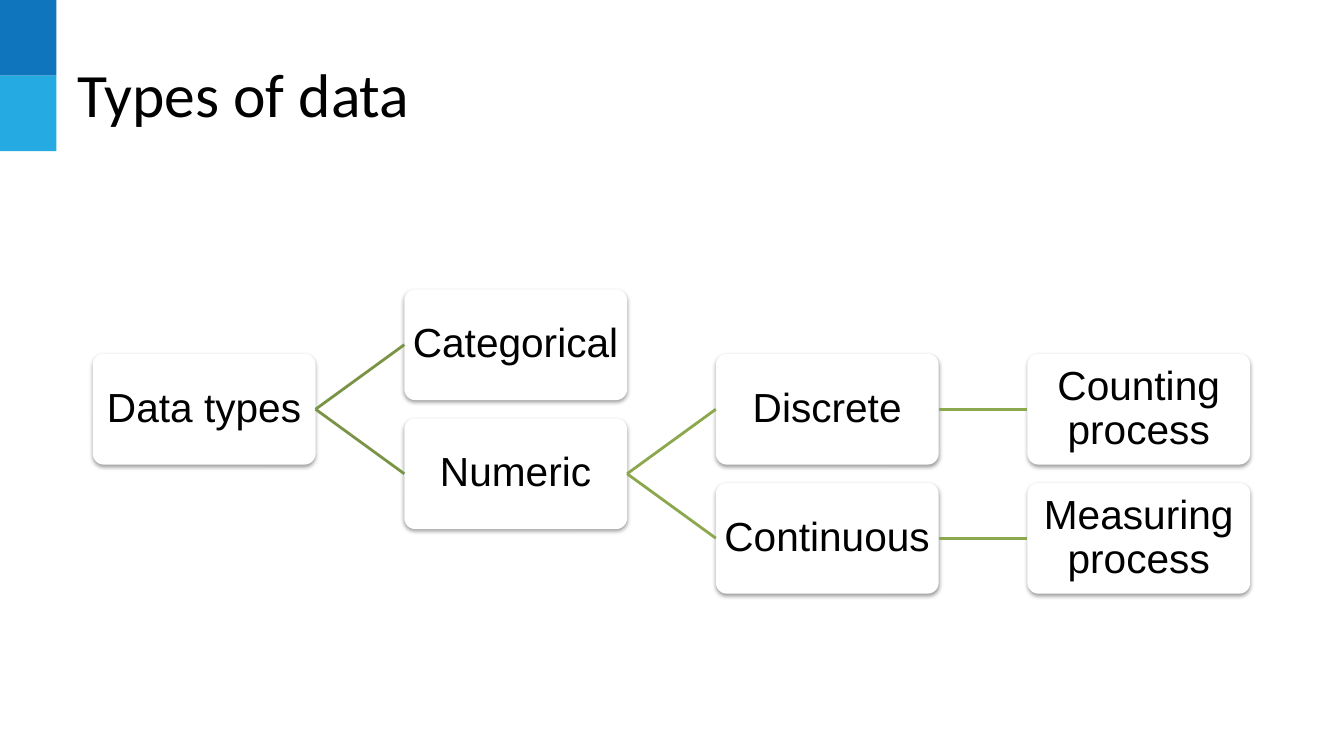
from lxml import etree
from pptx import Presentation
from pptx.dml.color import RGBColor
from pptx.enum.shapes import MSO_CONNECTOR as Link, MSO_SHAPE as Shape
from pptx.enum.text import MSO_ANCHOR as Anchor, PP_ALIGN as Align
from pptx.oxml import parse_xml
from pptx.oxml.ns import nsdecls, qn
from pptx.util import Inches, Pt

BLACK = RGBColor(0x00, 0x00, 0x00)
WHITE = RGBColor(0xFF, 0xFF, 0xFF)
NAVY = RGBColor(0x0F, 0x75, 0xBD)
SKY = RGBColor(0x25, 0xAA, 0xE2)
MOSS = RGBColor(0x7A, 0x94, 0x46)
LEAF = RGBColor(0x8C, 0xA8, 0x4E)

WIDE, HIGH = 13.33, 7.5
LEFT, TOP = 0.92, 2.87       # corner of the tree
COL, ROW = 3.09, 0.64        # step of one column, of half a box row
BOX_W, BOX_H = 2.21, 1.1
LEFT_SITE, RIGHT_SITE = 1, 3

SHADOW = (
    f'<a:effectLst {nsdecls("a")}><a:outerShdw blurRad="40000" dist="20000" '
    'dir="5400000" rotWithShape="0"><a:srgbClr val="000000">'
    '<a:alpha val="38000"/></a:srgbClr></a:outerShdw></a:effectLst>'
)

# label: (column, row)
NODES = {
    "Data types": (0, 1),
    "Categorical": (1, 0),
    "Numeric": (1, 2),
    "Discrete": (2, 1),
    "Continuous": (2, 3),
    "Counting process": (3, 1),
    "Measuring process": (3, 3),
}
EDGES = [
    ("Data types", "Categorical", MOSS),
    ("Data types", "Numeric", MOSS),
    ("Numeric", "Discrete", LEAF),
    ("Numeric", "Continuous", LEAF),
    ("Discrete", "Counting process", LEAF),
    ("Continuous", "Measuring process", LEAF),
]


def write(frame, text, size=29, font="Arial", color=BLACK,
          align=Align.CENTER, space=0.9, inset=(0.05, 0.05)):
    """Fill a text frame with one formatted, vertically centred paragraph."""
    frame.word_wrap = True
    frame.vertical_anchor = Anchor.MIDDLE
    frame.margin_left = frame.margin_right = Inches(inset[0])
    frame.margin_top = frame.margin_bottom = Inches(inset[1])
    para = frame.paragraphs[0]
    para.alignment = align
    para.line_spacing = space
    run = para.add_run()
    run.text = text
    run.font.size = Pt(size)
    run.font.name = font
    run.font.color.rgb = color


class Board:
    """One slide with its grid and style."""

    def __init__(self, deck):
        self.slide = deck.slides.add_slide(deck.slide_layouts[6])
        self.shapes = self.slide.shapes
        self.slide.background.fill.solid()
        self.slide.background.fill.fore_color.rgb = WHITE

    def block(self, kind, x, y, w, h, fill):
        shape = self.shapes.add_shape(kind, *map(Inches, (x, y, w, h)))
        shape.shadow.inherit = False
        shape.fill.solid()
        shape.fill.fore_color.rgb = fill
        shape.line.fill.background()
        return shape

    def title(self, text):
        box = self.shapes.add_textbox(*map(Inches, (0.67, 0.3, 12, 1.25)))
        write(box.text_frame, text, size=44, font="Calibri",
              align=Align.LEFT, space=1.0, inset=(0.1, 0.05))

    def node(self, text, col, row):
        """Draw a raised white box at a grid place."""
        box = self.block(Shape.ROUNDED_RECTANGLE, LEFT + col * COL,
                         TOP + row * ROW, BOX_W, BOX_H, WHITE)
        box.adjustments[0] = 0.1
        props = box._element.spPr
        props.replace(props.find(qn("a:effectLst")), parse_xml(SHADOW))
        write(box.text_frame, text)
        return box

    def edge(self, start, end, color):
        """Join the right side of one box to the left side of another."""
        line = self.shapes.add_connector(Link.STRAIGHT, 0, 0, 0, 0)
        line.begin_connect(start, RIGHT_SITE)
        line.end_connect(end, LEFT_SITE)
        line.line.color.rgb = color
        line.line.width = Pt(2)
        etree.SubElement(line._element.spPr, qn("a:effectLst"))


def main():
    deck = Presentation()
    deck.slide_width, deck.slide_height = Inches(WIDE), Inches(HIGH)
    board = Board(deck)
    for i, fill in enumerate((NAVY, SKY)):
        board.block(Shape.RECTANGLE, 0, i * 0.75, 0.56, 0.75, fill)
    board.title("Types of data")
    boxes = {text: board.node(text, *place) for text, place in NODES.items()}
    for start, end, color in EDGES:
        board.edge(boxes[start], boxes[end], color)
    deck.save("out.pptx")


if __name__ == "__main__":
    main()
